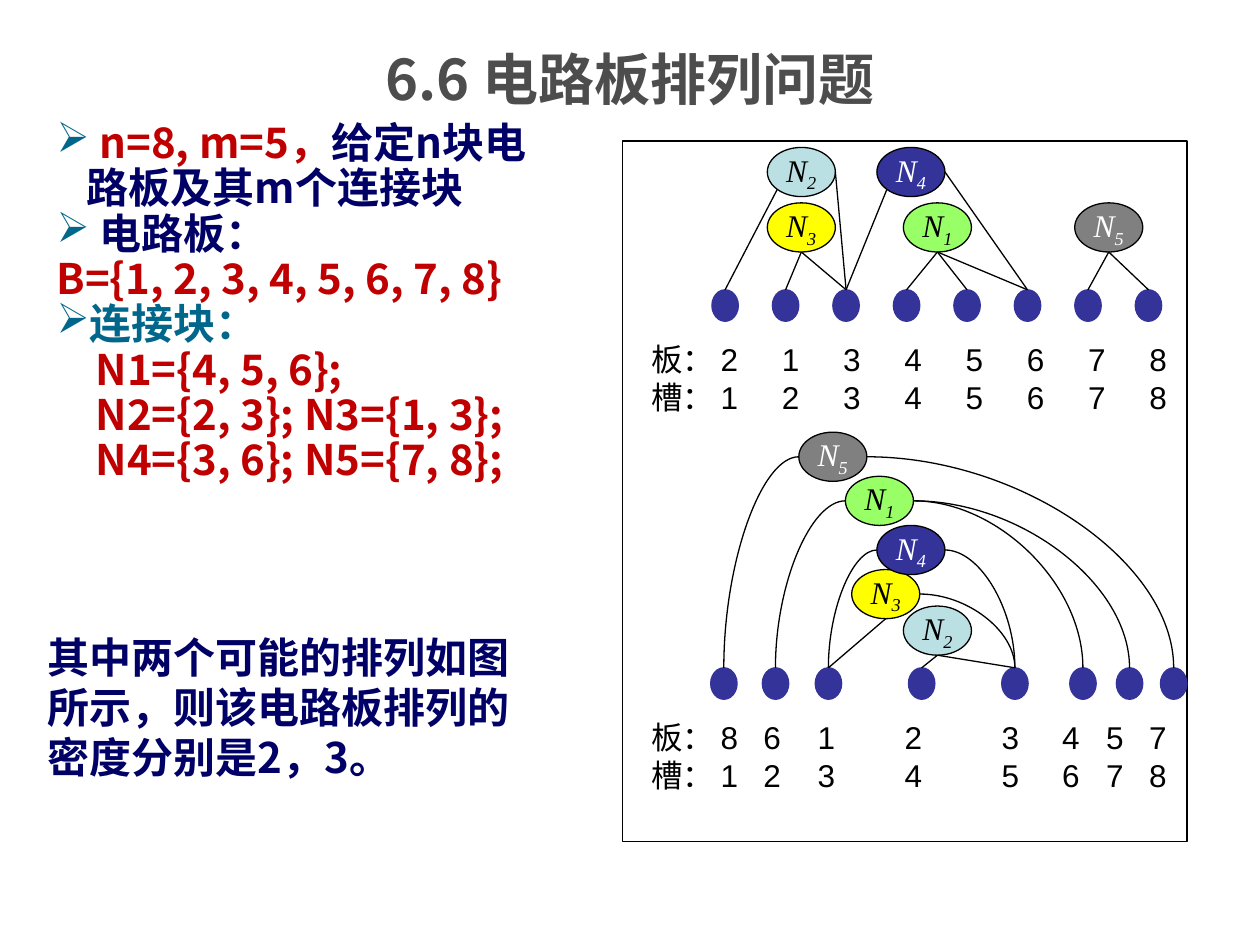
from math import cos, sin, radians
from lxml import etree
from pptx import Presentation, util as u
from pptx.dml.color import RGBColor
from pptx.enum import shapes, text
from pptx.oxml.ns import qn

BLACK, WHITE = RGBColor(0, 0, 0), RGBColor(255, 255, 255)
RED, NAVY = RGBColor(0xC0, 0, 0), RGBColor(0, 0, 0x66)
TEAL, GREY = RGBColor(0, 0x66, 0x8A), RGBColor(0x4D, 0x4D, 0x4D)
DOT = RGBColor(0x33, 0x33, 0x99)
HEI, ARIAL, TIMES = "Noto Sans CJK SC", "Arial", "Times New Roman"

TITLE = "6.6 电路板排列问题"
CLOSE = "其中两个可能的排列如图所示，则该电路板排列的密度分别是2，3。"
FACTS = [
    (True, 0.24, [(" ", TEAL), ("n=8, m=5，", RED), ("给定n块电路板及其m个连接块", NAVY)]),
    (True, 0.24, [(" ", TEAL), ("电路板：", NAVY)]),
    (False, 0, [("B={1, 2, 3, 4, 5, 6, 7, 8}", RED)]),
    (True, 0.24, [("连接块：", TEAL)]),
    (False, 0.31, [("N1={4, 5, 6};", RED)]),
    (False, 0.31, [("N2={2, 3}; N3={1, 3};", RED)]),
    (False, 0.31, [("N4={3, 6}; N5={7, 8};", RED)]),
]
NETS = {
    1: (RGBColor(0x99, 0xFF, 0x66), BLACK),
    2: (RGBColor(0xBB, 0xE0, 0xE3), BLACK),
    3: (RGBColor(0xFF, 0xFF, 0), BLACK),
    4: (DOT, WHITE),
    5: (RGBColor(0x80, 0x80, 0x80), WHITE),
}
LEFT, LOWER, FOOT, RIGHT = 2, 3, 4, 6
ANGLE = {LEFT: 180, LOWER: 135, FOOT: 90, RIGHT: 0}
PLANS = [
    dict(top=2.3, slots=[5.65 + 0.48 * i for i in range(8)],
         tabs=[0.62 + 0.486 * i for i in range(8)], boards="21345678",
         nets=[(2, 6.09, 1.17), (3, 6.09, 1.61), (4, 6.96, 1.17), (1, 7.17, 1.61), (5, 8.53, 1.61)],
         wires=[(2, LOWER, 1), (2, RIGHT, 3), (3, FOOT, 2), (3, FOOT, 3), (4, LOWER, 3),
                (4, RIGHT, 6), (1, FOOT, 4), (1, FOOT, 5), (1, FOOT, 6), (5, FOOT, 7), (5, FOOT, 8)],
         arcs=[]),
    dict(top=5.3, slots=[5.64, 6.05, 6.47, 7.21, 7.95, 8.49, 8.86, 9.21],
         tabs=[0.62, 0.96, 1.39, 2.08, 2.85, 3.33, 3.68, 4.02], boards="86123457",
         nets=[(2, 7.17, 4.81), (3, 6.76, 4.52), (4, 6.96, 4.17), (1, 6.71, 3.78), (5, 6.34, 3.43)],
         wires=[(2, FOOT, 5), (2, FOOT, 4), (3, FOOT, 3)],
         arcs=[(5, RIGHT, 8), (5, LEFT, 1), (1, LEFT, 2), (1, RIGHT, 7), (1, RIGHT, 6),
               (4, LEFT, 3), (4, RIGHT, 5), (3, RIGHT, 5)]),
]
NET_W, NET_H, DOT_W, DOT_H = 0.54, 0.39, 0.21, 0.25

deck = Presentation()
deck.slide_width, deck.slide_height = u.Inches(10), u.Inches(7.5)
slide = deck.slides.add_slide(deck.slide_layouts[5])
parts = slide.shapes


def write(para, words, size, face, color, bold=None, slant=None):
    run = para.add_run()
    run.text = words
    font = run.font
    font.size, font.name, font.bold, font.italic = u.Pt(size), face, bold, slant
    font.color.rgb = color
    ea = etree.SubElement(run._r.get_or_add_rPr(), qn("a:ea"))
    ea.set("typeface", HEI)
    return run


def box(*place):
    frame = parts.add_textbox(*map(u.Inches, place)).text_frame
    frame.word_wrap = True
    return frame


def lines(frame, count):
    return [frame.paragraphs[0]] + [frame.add_paragraph() for _ in range(count - 1)]


def solid(kind, place, fill, edge):
    part = parts.add_shape(kind, *map(u.Inches, place))
    part.shadow.inherit = False
    part.fill.solid()
    part.fill.fore_color.rgb = fill
    part.line.color.rgb = edge
    part.line.width = u.Pt(0.75)
    return part


def net(num, x, y):
    fill, ink = NETS[num]
    part = solid(shapes.MSO_SHAPE.OVAL, (x, y, NET_W, NET_H), fill, BLACK)
    frame = part.text_frame
    frame.word_wrap = False
    frame.vertical_anchor = text.MSO_ANCHOR.MIDDLE
    para = frame.paragraphs[0]
    para.alignment = text.PP_ALIGN.CENTER
    write(para, "N", 18, TIMES, ink, slant=True)
    sub = write(para, str(num), 18, TIMES, ink, slant=True)
    sub._r.get_or_add_rPr().set("baseline", "-25000")
    return part


def wire(part, site, dot, curved):
    turn = radians(ANGLE[site])
    x = part.left + part.width / 2 * (1 + cos(turn))
    y = part.top + part.height / 2 * (1 + sin(turn))
    kind = shapes.MSO_CONNECTOR.CURVE if curved else shapes.MSO_CONNECTOR.STRAIGHT
    link = parts.add_connector(kind, int(x), int(y), dot.left + dot.width // 2, dot.top)
    link.line.color.rgb = BLACK
    link.line.width = u.Pt(0.75)
    prop = link._element.spPr
    etree.SubElement(prop, qn("a:effectLst"))
    if curved:
        prop.find(qn("a:prstGeom")).set("prst", "curvedConnector2")
        ends = link._element.find(".//" + qn("p:cNvCxnSpPr"))
        for tag, owner, spot in (("a:stCxn", part, site), ("a:endCxn", dot, 0)):
            end = etree.SubElement(ends, qn(tag))
            end.set("id", str(owner.shape_id))
            end.set("idx", str(spot))


def draw(plan):
    nets = {num: net(num, x, y) for num, x, y in plan["nets"]}
    dots = [solid(shapes.MSO_SHAPE.OVAL, (x, plan["top"], DOT_W, DOT_H), DOT, DOT)
            for x in plan["slots"]]
    frame = box(5.07, plan["top"] + 0.35, 4.35, 0.9)
    rows = (("板：", plan["boards"]), ("槽：", "12345678"))
    for para, (name, nums) in zip(lines(frame, 2), rows):
        write(para, "\t".join([name, *nums]), 18, ARIAL, BLACK)
        stops = etree.SubElement(para._p.get_or_add_pPr(), qn("a:tabLst"))
        for pos in plan["tabs"]:
            stop = etree.SubElement(stops, qn("a:tab"))
            stop.set("pos", str(int(u.Inches(pos))))
            stop.set("algn", "ctr")
    for key in ("wires", "arcs"):
        for num, site, slot in plan[key]:
            wire(nets[num], site, dots[slot - 1], key == "arcs")


head = parts.title
head.left, head.top, head.width, head.height = map(u.Inches, (0.5, 0.3, 9, 0.93))
head.text_frame.vertical_anchor = text.MSO_ANCHOR.TOP
para = head.text_frame.paragraphs[0]
para.alignment = text.PP_ALIGN.CENTER
write(para, TITLE, 32, HEI, GREY, True)

frame = box(0.35, 0.92, 4.25, 3.01)
for para, (mark, inset, runs) in zip(lines(frame, len(FACTS)), FACTS):
    para.line_spacing = 0.9
    prop = para._p.get_or_add_pPr()
    prop.set("marL", str(int(u.Inches(inset))))
    if mark:
        prop.set("indent", str(-int(u.Inches(inset))))
        etree.SubElement(prop, qn("a:buChar")).set("char", "➢")
    for words, color in runs:
        write(para, words, 24, HEI, color, True)

solid(shapes.MSO_SHAPE.RECTANGLE, (4.94, 1.12, 4.48, 5.56), WHITE, BLACK)
for plan in PLANS:
    draw(plan)

write(box(0.28, 4.96, 4.09, 1.31).paragraphs[0], CLOSE, 24, HEI, NAVY, True)

deck.save("out.pptx")
